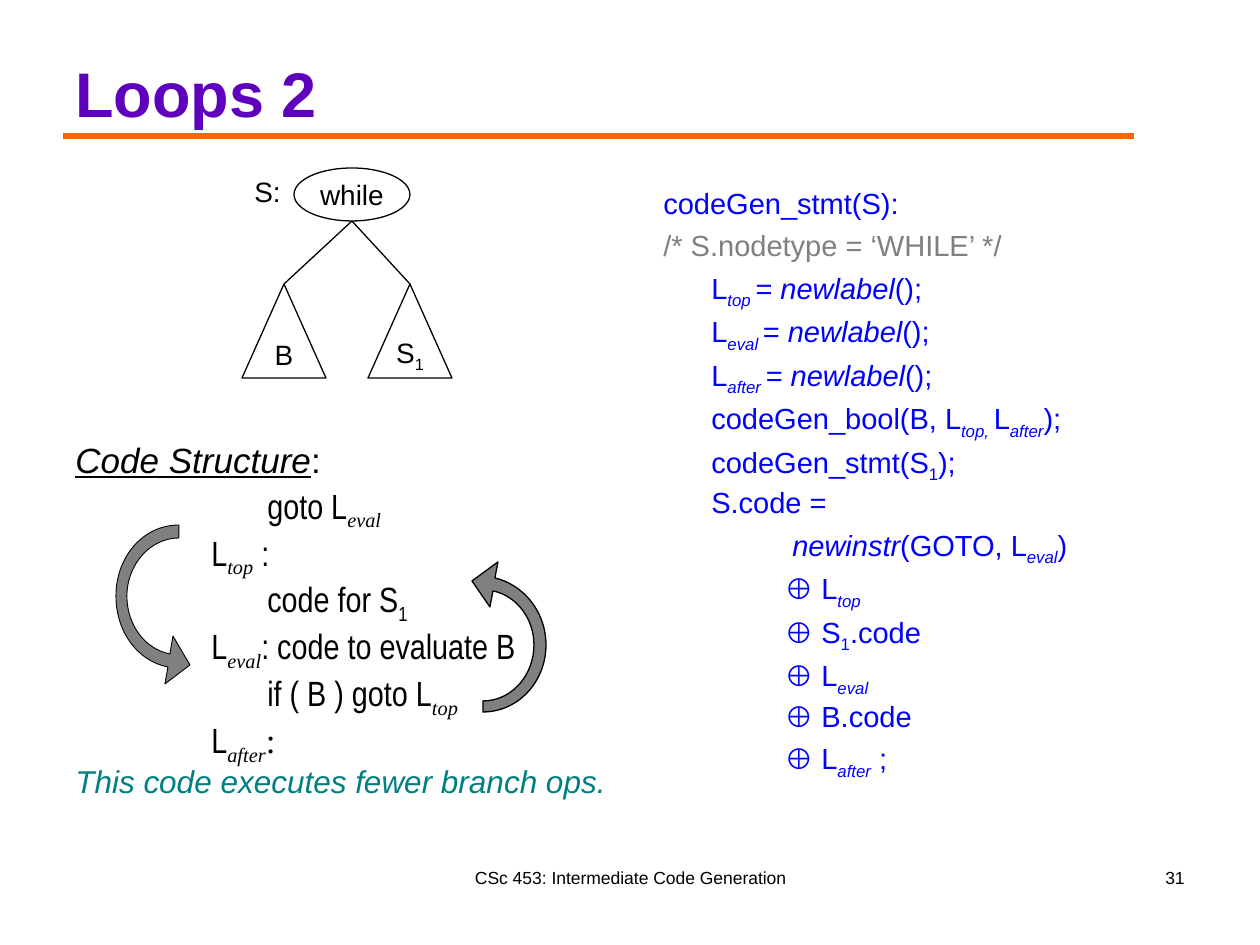
from dataclasses import dataclass
from itertools import chain
from typing import Any, NamedTuple

from lxml.etree import SubElement
from pptx import Presentation
from pptx.dml.color import RGBColor as Rgb
from pptx.enum.shapes import MSO_CONNECTOR as Connector, MSO_SHAPE as Preset
from pptx.enum.text import MSO_ANCHOR as Anchor, PP_ALIGN as Align
from pptx.oxml.ns import qn
from pptx.util import Emu, Pt

SCALE = 914400 / 126
COLORS = {
    "ink": "000000", "title": "5E00BC", "rule": "FF6600", "code": "0000FF",
    "comment": "808080", "remark": "008080", "arrow": "808080",
}
NARROW, SERIF = "Arial Narrow", "Times New Roman"


class Span(NamedTuple):
    text: str
    italic: bool = False
    underline: bool = False
    lowered: bool = False
    font: str = ""


class Bounds(NamedTuple):
    left: int
    top: int
    width: int
    height: int


@dataclass
class Line:
    spans: list[Span]
    size: float = 16
    color: str = "ink"
    font: str = "Arial"
    indent: int = 0
    spacing: float = 1.0
    before: float = 0
    align: Any = Align.LEFT
    bold: bool = False


@dataclass
class Node:
    preset: Any
    bounds: Bounds
    spans: list[Span]


@dataclass
class Arrow:
    start: tuple[int, int]
    segments: list[list[tuple[int, int]]]
    width: float


def px(value: int) -> Emu:
    return Emu(round(value * SCALE))


def apply(target: Any, values: dict[str, Any]) -> None:
    for name, value in values.items():
        setattr(target, name, value)


def rgb(name: str) -> Rgb:
    return Rgb.from_string(COLORS[name])


def write(frame: Any, lines: list[Line], anchor: Any = Anchor.TOP, wrap: bool = True) -> None:
    apply(frame, {"word_wrap": wrap, "vertical_anchor": anchor})
    for index, line in enumerate(lines):
        para = frame.add_paragraph() if index else frame.paragraphs[0]
        apply(para, {"alignment": line.align, "line_spacing": line.spacing,
                     "space_before": Pt(line.before if index else 0)})
        if line.indent:
            para._p.get_or_add_pPr().set("marL", str(px(line.indent)))
        for part in line.spans:
            span = para.add_run()
            span.text = part.text
            apply(span.font, {"name": part.font or line.font, "size": Pt(line.size),
                              "bold": line.bold, "italic": part.italic,
                              "underline": part.underline})
            span.font.color.rgb = rgb(line.color)
            if part.lowered:
                span._r.get_or_add_rPr().set("baseline", "-25000")


def add_text(page: Any, bounds: Bounds, lines: list[Line], **options: Any) -> None:
    box = page.shapes.add_textbox(*map(px, bounds))
    write(box.text_frame, lines, **options)


def outline(shape: Any, width: float) -> None:
    shape.shadow.inherit = False
    shape.line.color.rgb = rgb("ink")
    shape.line.width = Pt(width)


def add_node(page: Any, node: Node) -> Any:
    shape = page.shapes.add_shape(node.preset, *map(px, node.bounds))
    outline(shape, 0.75)
    shape.fill.background()
    write(shape.text_frame, [Line(node.spans, align=Align.CENTER)], Anchor.MIDDLE, False)
    return shape


def add_line(page: Any, start: tuple[int, int], end: tuple[int, int],
             color: str, width: float) -> Any:
    line = page.shapes.add_connector(Connector.STRAIGHT, *map(px, start + end))
    line.line.color.rgb = rgb(color)
    line.line.width = Pt(width)
    SubElement(line._element.spPr, qn("a:effectLst"))
    return line


def bend(shape: Any, segments: list[list[tuple[int, int]]]) -> None:
    corners = iter(list(shape._element.iter(qn("a:lnTo"))))
    for segment in segments:
        first, *others = [next(corners) for _ in segment]
        if others:
            first.tag = qn("a:cubicBezTo")
            for other in others:
                first.append(other[0])
                other.getparent().remove(other)


def add_arrow(page: Any, arrow: Arrow) -> None:
    builder = page.shapes.build_freeform(*map(px, arrow.start))
    points = [(px(x), px(y)) for x, y in chain.from_iterable(arrow.segments)]
    builder.add_line_segments(points, close=True)
    shape = builder.convert_to_shape()
    bend(shape, arrow.segments)
    outline(shape, arrow.width)
    shape.fill.solid()
    shape.fill.fore_color.rgb = rgb("arrow")


def sub(text: str, font: str = "") -> Span:
    return Span(text, italic=not text.isdigit(), lowered=True, font=font)


def structure(indent: int, *spans: Span) -> Line:
    return Line(list(spans), 20, font=NARROW, indent=indent, spacing=0.8, before=5)


def code(indent: int, *spans: Span) -> Line:
    return Line(list(spans), 16.6, "code", indent=indent, spacing=0.9, before=4.5)


def new_label(name: str) -> Line:
    return code(48, Span("L"), sub(name + " "), Span("= "),
                Span("newlabel", italic=True), Span("();"))


def joined(*spans: Span) -> Line:
    return code(121, Span("⊕ " + spans[0].text), *spans[1:])


STRUCTURE = [
    Line([Span("Code Structure", italic=True, underline=True), Span(":")], 20, spacing=0.8),
    structure(192, Span("goto L"), sub("eval", SERIF)),
    structure(136, Span("L"), sub("top", SERIF), Span(" :")),
    structure(192, Span("code for S"), sub("1")),
    structure(136, Span("L"), sub("eval", SERIF), Span(": code to evaluate B")),
    structure(192, Span("if ( B ) goto L"), sub("top", SERIF)),
    structure(136, Span("L"), sub("after", SERIF), Span(":", font=SERIF)),
    Line([Span("This code executes fewer branch ops.", italic=True)], 18, "remark",
         spacing=0.8, before=4.5),
]
GENERATOR = [
    Line([Span("codeGen_stmt(S):")], 16.6, "code"),
    Line([Span("/* S.nodetype = ‘WHILE’ */")], 16.6, "comment", before=4.5),
    *map(new_label, ("top", "eval", "after")),
    code(48, Span("codeGen_bool(B, L"), sub("top, "), Span("L"), sub("after"), Span(");")),
    code(48, Span("codeGen_stmt(S"), sub("1"), Span(");")),
    code(48, Span("S.code =")),
    code(129, Span("newinstr", italic=True), Span("(GOTO, L"), sub("eval"), Span(")")),
    joined(Span("L"), sub("top")),
    joined(Span("S"), sub("1"), Span(".code")),
    joined(Span("L"), sub("eval")),
    joined(Span("B.code")),
    joined(Span("L"), sub("after"), Span(" ;")),
]
ARROWS = [
    Arrow((170, 654), [
        [(145, 649), (127, 625), (127, 596)], [(127, 565), (150, 538), (179, 538)],
        [(179, 525)], [(143, 525), (116, 557), (116, 596)],
        [(116, 631), (137, 661), (168, 667)], [(165, 684)], [(190, 665)], [(173, 636)]], 0.5),
    Arrow((493, 591), [
        [(517, 596), (534, 619), (534, 645)], [(534, 675), (512, 701), (483, 701)],
        [(483, 712)], [(518, 712), (546, 682), (546, 645)],
        [(546, 612), (524, 585), (495, 578)], [(498, 562)], [(472, 581)], [(490, 607)]], 0.75),
]
ROOT = Node(Preset.OVAL, Bounds(294, 168, 116, 53), [Span("while")])
BRANCHES = [
    Node(Preset.ISOSCELES_TRIANGLE, Bounds(242, 284, 84, 94), [Span("B")]),
    Node(Preset.ISOSCELES_TRIANGLE, Bounds(368, 284, 84, 94), [Span("S"), sub("1")]),
]


def main() -> None:
    deck = Presentation()
    apply(deck, {"slide_width": px(1260), "slide_height": px(945)})
    page = deck.slides.add_slide(deck.slide_layouts[6])
    add_line(page, (63, 136), (1134, 136), "rule", 3.75)
    add_text(page, Bounds(431, 861, 399, 63),
             [Line([Span("CSc 453: Intermediate Code Generation")], 10, align=Align.CENTER)])
    add_text(page, Bounds(903, 861, 294, 63), [Line([Span("31")], 10, align=Align.RIGHT)])
    add_text(page, Bounds(63, 16, 1134, 120),
             [Line([Span("Loops 2")], 36, "title", bold=True)], anchor=Anchor.BOTTOM)
    add_text(page, Bounds(63, 440, 557, 399), STRUCTURE)
    add_text(page, Bounds(651, 179, 557, 667), GENERATOR)
    for arrow in ARROWS:
        add_arrow(page, arrow)
    add_node(page, ROOT)
    add_text(page, Bounds(242, 168, 52, 47), [Line([Span("S:")])], wrap=False)
    for branch in BRANCHES:
        shape = add_node(page, branch)
        add_line(page, (352, 221), (352, 284), "ink", 0.75).end_connect(shape, 0)
    deck.save("out.pptx")


if __name__ == "__main__":
    main()
